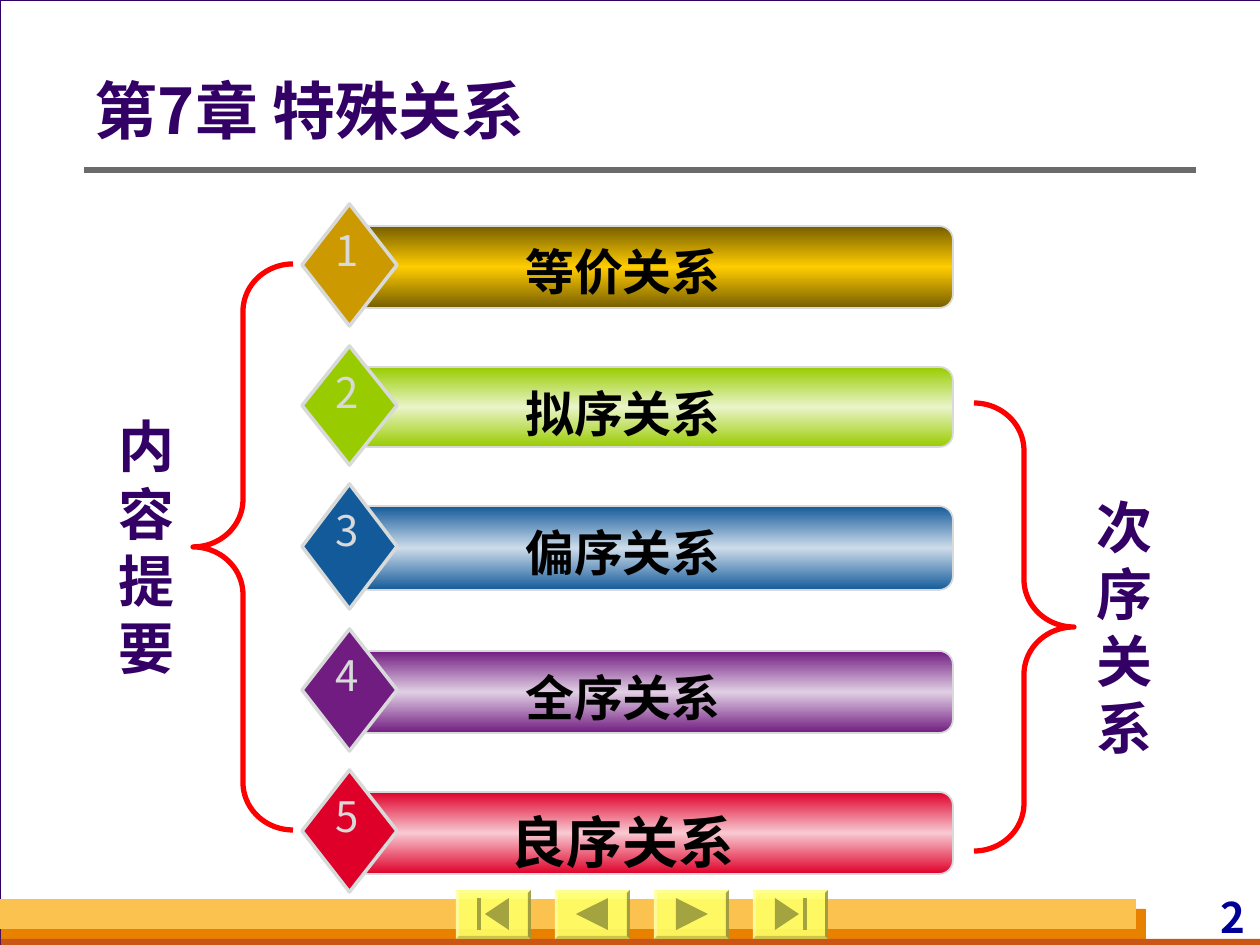
from copy import deepcopy

from lxml.etree import SubElement
from pptx import Presentation
from pptx.dml.color import RGBColor
from pptx.enum.shapes import MSO_CONNECTOR, MSO_SHAPE as Shape
from pptx.enum.text import MSO_ANCHOR as Anchor, PP_ALIGN as Align
from pptx.oxml.ns import qn
from pptx.util import Pt

SCALE = 914400 / 126
FONT = "Noto Sans CJK SC"
INK, SILVER, RED, WHITE = "330066", "D8DADA", "FF0000", "FFFFFF"
BUTTON_W, BUTTON_H = 75, 49
TOPICS = [  # label, label size, diamond, bar edge, bar middle, top, height
    ("等价关系", 28, "CC9900", "765E00", "FFCC00", 204, 122),
    ("拟序关系", 28, "99CC00", "99CC00", "E9F4C9", 346, 119),
    ("偏序关系", 28, "135A9A", "135A9A", "CDDCEA", 484, 125),
    ("全序关系", 28, "711C81", "711C81", "E1CFE4", 629, 122),
    ("良序关系", 32, "DF0029", "DF0029", "F8C9D2", 770, 122),
]
BACK = [(21, 24), (53, 8), (53, 40)]
BACK_TO_STOP = [(29, 24), (53, 8), (53, 40)]
STOP = [(21, 8), (25, 8), (25, 40), (21, 40)]


def px(*lengths):
    return [round(length * SCALE) for length in lengths]


def paint(color_holder, hex_color):
    color_holder.rgb = RGBColor.from_string(hex_color)


def set_all(target, values):
    for name, value in values.items():
        setattr(target, name, value)


def style(shape, fill=None, line=None, width=1):
    shape.shadow.inherit = False
    if fill:
        shape.fill.solid()
        paint(shape.fill.fore_color, fill)
    else:
        shape.fill.background()
    if line:
        paint(shape.line.color, line)
        shape.line.width = Pt(width)
    else:
        shape.line.fill.background()


def add_preset(shapes, kind, box, adjust=None, **look):
    shape = shapes.add_shape(kind, *px(*box))
    if adjust is not None:
        shape.adjustments[0] = adjust
    style(shape, **look)
    return shape


def add_text(shapes, text, box, size, color, align=Align.LEFT, bold=True,
             insets=(13, 6, 13, 6), wrap=True, anchor=Anchor.TOP, spacing=None):
    frame = shapes.add_textbox(*px(*box)).text_frame
    left, top, right, bottom = px(*insets)
    set_all(frame, {"margin_left": left, "margin_top": top, "margin_right": right,
                    "margin_bottom": bottom, "word_wrap": wrap, "vertical_anchor": anchor})
    paragraph = frame.paragraphs[0]
    set_all(paragraph, {"alignment": align, "line_spacing": spacing})
    run = paragraph.add_run()
    run.text = text
    set_all(run.font, {"size": Pt(size), "bold": bold, "name": FONT})
    paint(run.font.color, color)
    SubElement(run.font._element, qn("a:ea"), typeface=FONT)


def fill_with_glow(bar, edge, middle):
    """Vertical gradient: edge colour, lighter middle, edge colour."""
    bar.fill.gradient()
    bar.fill.gradient_angle = 90
    first = bar.element.spPr.find(".//" + qn("a:gs"))
    first.addnext(deepcopy(first))
    for stop, position, color in zip(bar.fill.gradient_stops, (0, 0.5, 1), (edge, middle, edge)):
        stop.position = position
        paint(stop.color, color)


def add_topic(slide, number, label, size, diamond, edge, middle, top, height):
    shapes = slide.shapes.add_group_shape().shapes
    bar_top = top + round(height * 0.18)
    bar = add_preset(shapes, Shape.ROUNDED_RECTANGLE, (355, bar_top, 598, round(height * 0.67)),
                     0.167, fill=edge, line=SILVER)
    fill_with_glow(bar, edge, middle)
    add_preset(shapes, Shape.DIAMOND, (302, top, 95, height), fill=diamond, line=SILVER, width=2)
    add_text(shapes, label, (387, bar_top + 10, 472, 72), size, "000000", Align.CENTER)
    add_text(shapes, str(number), (322, top + 15, 50, 63), 24, SILVER, Align.CENTER,
             bold=False, wrap=False)


def add_bracket(slide, label, label_box, kind, brace_box):
    """A brace with its label, one character to a line."""
    shapes = slide.shapes.add_group_shape().shapes
    add_text(shapes, label, label_box, 32, INK)
    add_preset(shapes, kind, brace_box, 0.475, line=RED, width=3)


def add_button(slide, left, top, icon_parts, mirrored=False):
    button = add_preset(slide.shapes, Shape.BEVEL, (left, top, BUTTON_W, BUTTON_H),
                        0.06, fill="FFFF66")
    color = button.element.spPr.find(".//" + qn("a:srgbClr"))
    SubElement(color, qn("a:alpha"), val="90000")
    for part in icon_parts:
        points = [(left + (BUTTON_W - x if mirrored else x), top + y) for x, y in part]
        outline = slide.shapes.build_freeform(*points[0], scale=SCALE)
        outline.add_line_segments(points[1:], close=True)
        style(outline.convert_to_shape(), fill="A3A33F")


def add_frame(slide):
    """Page, footer bands, page number, title rule and buttons."""
    slide.background.fill.solid()
    paint(slide.background.fill.fore_color, SILVER)
    shapes = slide.shapes
    add_preset(shapes, Shape.RECTANGLE, (0, 0, 1261, 945), fill=WHITE, line=INK, width=0.75)
    for box, color in [((1, 909, 1145, 36), "E88000"), ((1, 939, 1260, 10), "C95616"),
                       ((0, 899, 1136, 30), "FCC24F")]:
        add_preset(shapes, Shape.RECTANGLE, box, fill=color)
    add_text(shapes, "2", (1067, 892, 183, 50), 24, "000099", Align.RIGHT, insets=(5, 0, 5, 0))
    rule = shapes.add_connector(MSO_CONNECTOR.STRAIGHT, *px(84, 170, 1196, 170))
    paint(rule.line.color, "6B6B6B")
    rule.line.width = Pt(3)
    SubElement(rule.element.spPr, qn("a:effectLst"))
    buttons = [([BACK_TO_STOP, STOP], False), ([BACK], False),
               ([BACK], True), ([BACK_TO_STOP, STOP], True)]
    for place, (icon_parts, mirrored) in enumerate(buttons):
        add_button(slide, 456 + 99 * place, 890, icon_parts, mirrored)


def main():
    deck = Presentation()
    deck.slide_width, deck.slide_height = px(1260, 945)
    slide = deck.slides.add_slide(deck.slide_layouts[6])
    add_frame(slide)
    add_text(slide.shapes, "第7章 特殊关系", (95, 74, 1094, 81), 36, INK,
             insets=(0, 6, 13, 6), anchor=Anchor.MIDDLE, spacing=0.9)
    for number, topic in enumerate(TOPICS, 1):
        add_topic(slide, number, *topic)
    add_bracket(slide, "内容提要", (105, 406, 79, 282), Shape.LEFT_BRACE, (193, 264, 100, 566))
    add_bracket(slide, "次序关系", (1084, 486, 79, 282), Shape.RIGHT_BRACE, (974, 403, 100, 448))
    deck.save("out.pptx")


if __name__ == "__main__":
    main()
